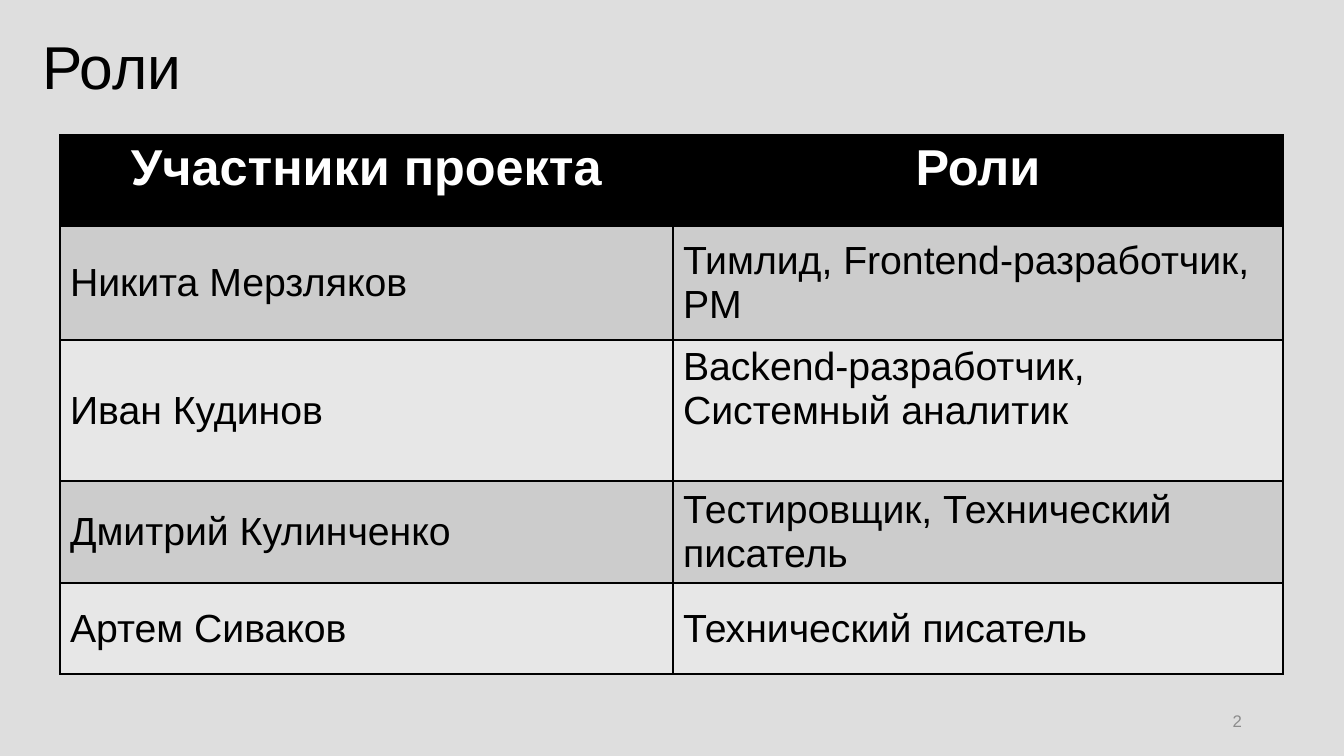
from lxml import etree
from pptx import Presentation
from pptx.dml.color import RGBColor
from pptx.enum.text import MSO_ANCHOR, PP_ALIGN
from pptx.oxml.ns import qn
from pptx.util import Pt

LEFT, CENTER, RIGHT = PP_ALIGN.LEFT, PP_ALIGN.CENTER, PP_ALIGN.RIGHT
TOP, MIDDLE = MSO_ANCHOR.TOP, MSO_ANCHOR.MIDDLE
EMU_PER_PX = 914400 / 100.8
FONT = "Arial"
BLACK, WHITE = "000000", "FFFFFF"
BAND_FILLS = ["CCCCCC", "E7E7E7"]
HEADER = ("Участники проекта", "Роли")
MEMBERS = [
    ("Никита Мерзляков", "Тимлид, Frontend-разработчик, PM"),
    ("Иван Кудинов", "Backend-разработчик, Системный аналитик"),
    ("Дмитрий Кулинченко", "Тестировщик, Технический писатель"),
    ("Артем Сиваков", "Технический писатель"),
]
COLUMN_WIDTHS = [613, 610]
ROW_HEIGHTS = [91, 114, 141, 102, 91]


def px(length):
    return round(length * EMU_PER_PX)


def color(value):
    return RGBColor.from_string(value)


def write(text_frame, text, size, font_color, alignment=LEFT, bold=False):
    text_frame.text = text
    paragraph = text_frame.paragraphs[0]
    paragraph.alignment = alignment
    font = paragraph.runs[0].font
    font.name = FONT
    font.size = Pt(size)
    font.bold = bold
    font.color.rgb = color(font_color)


def add_title(slide, left, top, width, height):
    title = slide.shapes.title
    title.left, title.top = px(left), px(top)
    title.width, title.height = px(width), px(height)
    write(title.text_frame, "Роли", 43.2, BLACK)
    title.text_frame.vertical_anchor = MIDDLE
    title.text_frame.paragraphs[0].line_spacing = 0.9


def add_borders(cell):
    properties = cell._tc.get_or_add_tcPr()
    for side in ("lnL", "lnR", "lnT", "lnB"):
        line = etree.SubElement(properties, qn(f"a:{side}"), w=str(Pt(1)))
        fill = etree.SubElement(line, qn("a:solidFill"))
        etree.SubElement(fill, qn("a:srgbClr"), val=BLACK)


def format_cell(cell, fill_color, anchor):
    add_borders(cell)
    cell.fill.solid()
    cell.fill.fore_color.rgb = color(fill_color)
    cell.vertical_anchor = anchor


def add_roles_table(slide, left, top):
    rows = [HEADER, *MEMBERS]
    table = slide.shapes.add_table(
        len(rows), len(HEADER), px(left), px(top),
        px(sum(COLUMN_WIDTHS)), px(sum(ROW_HEIGHTS))).table
    for column, width in zip(table.columns, COLUMN_WIDTHS):
        column.width = px(width)
    for row, height in zip(table.rows, ROW_HEIGHTS):
        row.height = px(height)
    for column_index, text in enumerate(HEADER):
        cell = table.cell(0, column_index)
        format_cell(cell, BLACK, TOP)
        write(cell.text_frame, text, 36, WHITE, CENTER, True)
    for row_index, member in enumerate(MEMBERS):
        for column_index, text in enumerate(member):
            cell = table.cell(row_index + 1, column_index)
            format_cell(cell, BAND_FILLS[row_index % 2], MIDDLE)
            write(cell.text_frame, text, 28, BLACK)
    table.cell(2, 1).vertical_anchor = TOP


def add_slide_number(slide, left, top, width, height):
    box = slide.shapes.add_textbox(px(left), px(top), px(width), px(height))
    box.text_frame.word_wrap = True
    box.text_frame.vertical_anchor = MIDDLE
    write(box.text_frame, "2", 12, "8C8C8C", RIGHT)


def main():
    presentation = Presentation()
    presentation.slide_width, presentation.slide_height = px(1344), px(756)
    slide = presentation.slides.add_slide(presentation.slide_layouts[5])
    slide.background.fill.solid()
    slide.background.fill.fore_color.rgb = color("DEDEDE")
    add_title(slide, 32, 28, 1066, 83)
    add_roles_table(slide, 60, 135)
    add_slide_number(slide, 950, 701, 302, 40)
    presentation.save("out.pptx")


if __name__ == "__main__":
    main()
